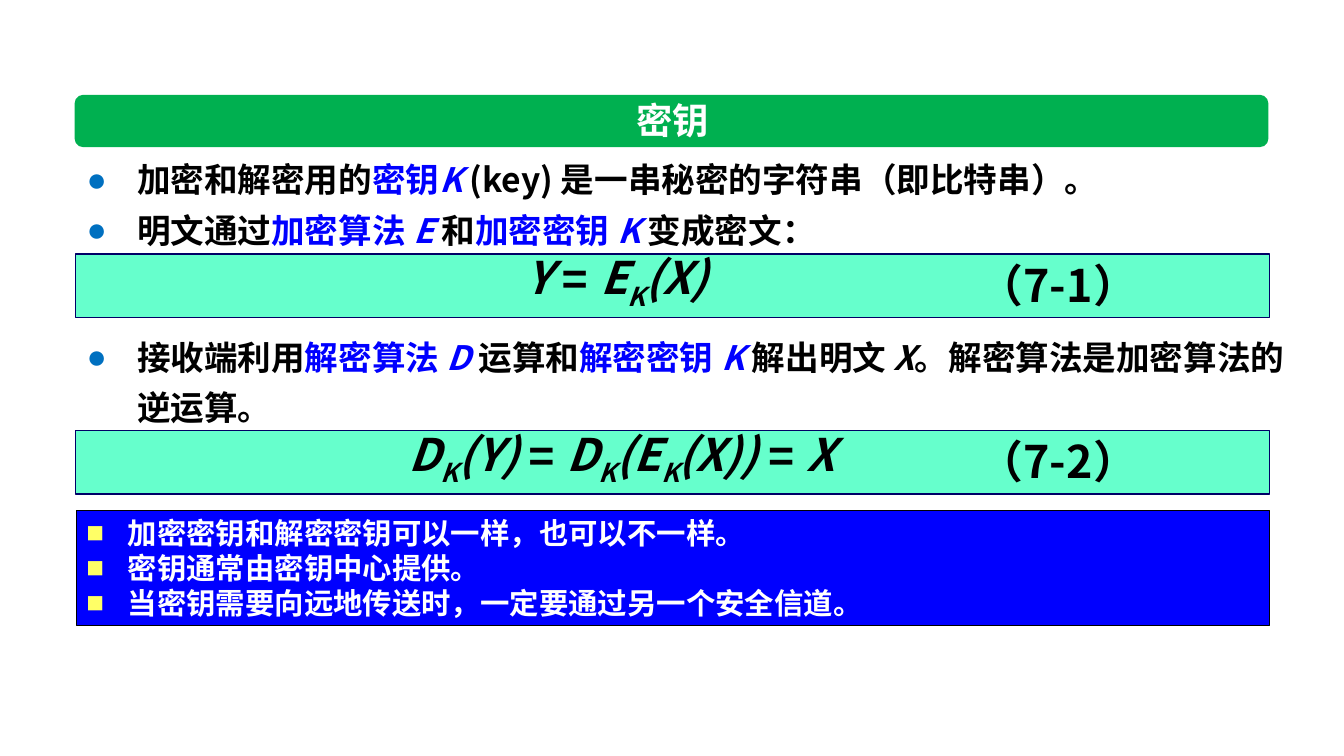
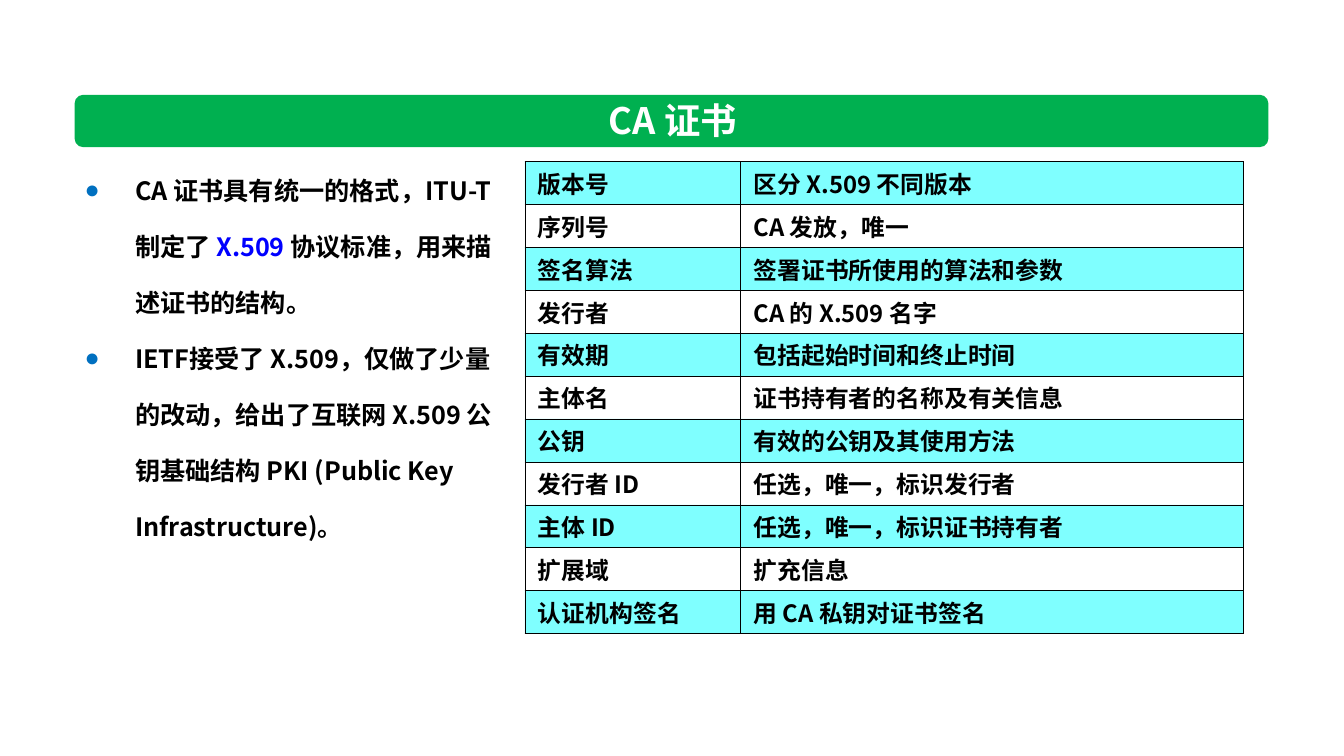
import pptx
import pptx.util
import pptx.dml.color
import pptx.enum.shapes
import pptx.enum.text
import pptx.oxml
import pptx.oxml.ns

Inches, Pt = pptx.util.Inches, pptx.util.Pt
RGB = pptx.dml.color.RGBColor.from_string
Shape = pptx.enum.shapes.MSO_SHAPE
Align = pptx.enum.text.PP_ALIGN
Anchor = pptx.enum.text.MSO_ANCHOR
Fit = pptx.enum.text.MSO_AUTO_SIZE

FONT = "Noto Sans CJK SC"
COLORS = {
    "black": "000000", "white": "FFFFFF", "blue": "0000FF", "navy": "000066",
    "mint": "66FFCC", "green": "00B050", "dot": "0070C0", "lemon": "FFFF66",
    "aqua": "00FFFF",
}

# Text kinds: size, colour and paragraph settings
TITLE = {"size": 26, "color": "white", "line": 33.5, "align": Align.CENTER}
MATH = {"size": 32, "color": "black", "line": 41, "align": Align.CENTER}
LIST = {"size": 24, "color": "black", "line": 36, "bullet": ("●", "dot", 0.5)}
SMALL = LIST | {"size": 18, "line": 40}
NOTE = {"size": 21, "color": "white", "line": 25, "bullet": ("■", "lemon", 0.41)}
CELL = {"size": 17, "color": "black"}

# Run marks: changes to the kind of text
MARKS = {
    "": {},
    "key": {"color": "blue"},
    "sym": {"color": "blue", "italic": True},
    "var": {"italic": True},
    "sub": {"italic": True, "base": -25000},
    "op": {"name": "Arial"},
}

# Slide content: a paragraph is a list of (text, mark) runs
INTRO = [
    [("加密和解密用的", ""), ("密钥", "key"), ("K ", "sym"),
     ("(key) 是一串秘密的字符串（即比特串）。", "")],
    [("明文通过", ""), ("加密算法 ", "key"), ("E ", "sym"), ("和", ""),
     ("加密密钥 ", "key"), ("K ", "sym"), ("变成密文：", "")],
]
DECODE = [
    [("接收端利用", ""), ("解密算法 ", "key"), ("D ", "sym"), ("运算和", ""),
     ("解密密钥 ", "key"), ("K ", "sym"), ("解出明文 ", ""), ("X", "var"),
     ("。解密算法是加密算法的逆运算。", "")],
]
CODE_EQ = [("Y ", "var"), ("= ", "op"), ("E", "var"), ("K", "sub"), ("(X) ", "var")]
BACK_EQ = [("D", "var"), ("K", "sub"), ("(Y) ", "var"), ("= ", "op"), ("D", "var"),
           ("K", "sub"), ("(E", "var"), ("K", "sub"), ("(X)) ", "var"),
           ("= ", "op"), ("X ", "var")]
NOTES = [
    "加密密钥和解密密钥可以一样，也可以不一样。",
    "密钥通常由密钥中心提供。",
    "当密钥需要向远地传送时，一定要通过另一个安全信道。",
]
POINTS = [
    [("CA 证书具有统一的格式，ITU-T 制定了 ", ""), ("X.509 ", "key"),
     ("协议标准，用来描述证书的结构。", "")],
    "IETF接受了 X.509，仅做了少量的改动，给出了互联网 X.509 公钥基础结构 "
    "PKI (Public Key Infrastructure)。",
]
FIELDS = [
    ("版本号", "区分 X.509 不同版本"),
    ("序列号", "CA 发放，唯一"),
    ("签名算法", "签署证书所使用的算法和参数"),
    ("发行者", "CA 的 X.509 名字"),
    ("有效期", "包括起始时间和终止时间"),
    ("主体名", "证书持有者的名称及有关信息"),
    ("公钥", "有效的公钥及其使用方法"),
    ("发行者 ID", "任选，唯一，标识发行者"),
    ("主体 ID", "任选，唯一，标识证书持有者"),
    ("扩展域", "扩充信息"),
    ("认证机构签名", "用 CA 私钥对证书签名"),
]


def apply(item, values):
    for name, value in values.items():
        setattr(item, name, value)


def node(xml):
    return pptx.oxml.parse_xml(
        xml.replace(">", f" {pptx.oxml.ns.nsdecls('a')}>", 1)
        if not xml.endswith("/>") or xml.count("<") > 1
        else xml.replace("/>", f" {pptx.oxml.ns.nsdecls('a')}/>"))


def bullet(para, char, color, indent):
    props = para._p.get_or_add_pPr()
    props.set("marL", str(Inches(indent)))
    props.set("indent", str(-Inches(indent)))
    for xml in (f'<a:buClr><a:srgbClr val="{COLORS[color]}"/></a:buClr>',
                '<a:buFont typeface="Arial"/>', f'<a:buChar char="{char}"/>'):
        props.append(node(xml))


def write(frame, paras, kind):
    """Fill a frame; a plain string stands for one unmarked run."""
    for num, runs in enumerate(paras):
        para = frame.add_paragraph() if num else frame.paragraphs[0]
        if "bullet" in kind:
            bullet(para, *kind["bullet"])
        apply(para, {"space_before": Pt(0), "space_after": Pt(0),
                     "alignment": kind.get("align", Align.LEFT)})
        if "line" in kind:
            para.line_spacing = Pt(kind["line"])
        for text, mark in [(runs, "")] if isinstance(runs, str) else runs:
            style = kind | MARKS[mark]
            run = para.add_run()
            run.text = text
            apply(run.font, {"size": Pt(style["size"]), "bold": True,
                             "italic": style.get("italic", False),
                             "name": style.get("name", FONT)})
            run.font.color.rgb = RGB(COLORS[style["color"]])
            props = run._r.get_or_add_rPr()
            props.append(node(f'<a:ea typeface="{FONT}"/>'))
            if "base" in style:
                props.set("baseline", str(style["base"]))


def setup(frame, wrap=True):
    apply(frame, {"word_wrap": wrap, "auto_size": Fit.SHAPE_TO_FIT_TEXT,
                  "vertical_anchor": Anchor.TOP,
                  "margin_left": Inches(0.1), "margin_right": Inches(0.1),
                  "margin_top": Inches(0.05), "margin_bottom": Inches(0.05)})


def place(holder, box, paras, kind):
    """Move a placeholder and fill it."""
    apply(holder, dict(zip(("left", "top", "width", "height"), map(Inches, box))))
    setup(holder.text_frame)
    write(holder.text_frame, paras, kind)


def block(slide, box, fill, line=None, width=1, form=Shape.RECTANGLE):
    shape = slide.shapes.add_shape(form, *map(Inches, box))
    shape.shadow.inherit = False
    shape.fill.solid()
    shape.fill.fore_color.rgb = RGB(COLORS[fill])
    if line:
        shape.line.color.rgb = RGB(COLORS[line])
        shape.line.width = Pt(width)
    else:
        shape.line.fill.background()
    return shape


def label(slide, box, runs):
    text = slide.shapes.add_textbox(*map(Inches, box)).text_frame
    setup(text, wrap=False)
    write(text, [runs], MATH)


def start(deck, layout, title):
    """Add a slide with the green title band behind its title."""
    slide = deck.slides.add_slide(deck.slide_layouts[layout])
    band = block(slide, (0.74, 0.94, 11.85, 0.52), "green", form=Shape.ROUNDED_RECTANGLE)
    head = slide.shapes.title
    head.element.addprevious(band.element)
    place(head, (0.76, 0.89, 11.84, 0.54), [title], TITLE)
    return slide


def border(cell):
    props = cell._tc.get_or_add_tcPr()
    for num, side in enumerate("LRTB"):
        props.insert(num, node(
            f'<a:ln{side} w="{Pt(0.45)}"><a:solidFill><a:srgbClr '
            f'val="{COLORS["black"]}"/></a:solidFill></a:ln{side}>'))


def grid(slide, box, widths, rows):
    table = slide.shapes.add_table(len(rows), len(widths), *map(Inches, box)).table
    apply(table, {"first_row": False, "horz_banding": False})
    for col, width in zip(table.columns, widths):
        col.width = Inches(width)
    for num, texts in enumerate(rows):
        table.rows[num].height = Inches(box[3] / len(rows))
        for cell, text in zip(table.rows[num].cells, texts):
            apply(cell, {"margin_left": Inches(0.13), "margin_right": Inches(0.13),
                         "margin_top": Inches(0.04), "margin_bottom": Inches(0.04),
                         "vertical_anchor": Anchor.MIDDLE})
            write(cell.text_frame, [text], CELL)
            if num % 2:
                cell.fill.background()
            else:
                cell.fill.solid()
                cell.fill.fore_color.rgb = RGB(COLORS["aqua"])
                tint = cell._tc.tcPr.find(".//" + pptx.oxml.ns.qn("a:srgbClr"))
                tint.append(node('<a:alpha val="50000"/>'))
            border(cell)


def keys(deck):
    slide = start(deck, 3, "密钥")
    # Lists
    for num, top, paras in ((1, 1.43, INTRO), (2, 3.19, DECODE)):
        place(slide.placeholders[num], (0.76, top, 12.12, 1.1), paras, LIST)
    # Numbered formulas
    for top, left, width, runs, mark in (
            (2.47, 5.11, 2.12, CODE_EQ, "（7-1） "),
            (4.22, 3.92, 4.5, BACK_EQ, "（7-2） ")):
        block(slide, (0.75, top + 0.05, 11.85, 0.63), "mint", "navy")
        label(slide, (left, top, width, 0.71), runs)
        label(slide, (9.53, top, 2.05, 0.64), mark)
    # Notes panel
    panel = block(slide, (0.76, 5.06, 11.84, 1.15), "blue", "black", 0.75)
    setup(panel.text_frame)
    write(panel.text_frame, NOTES, NOTE)


def cert(deck):
    slide = start(deck, 1, "CA 证书")
    place(slide.placeholders[1], (0.74, 1.43, 4.31, 3.99), POINTS, SMALL)
    # Certificate fields
    grid(slide, (5.21, 1.6, 7.13, 4.69), (2.14, 4.99), FIELDS)


def main():
    deck = pptx.Presentation()
    apply(deck, {"slide_width": Inches(13.34), "slide_height": Inches(7.5)})
    keys(deck)
    cert(deck)
    deck.save("out.pptx")


if __name__ == "__main__":
    main()
